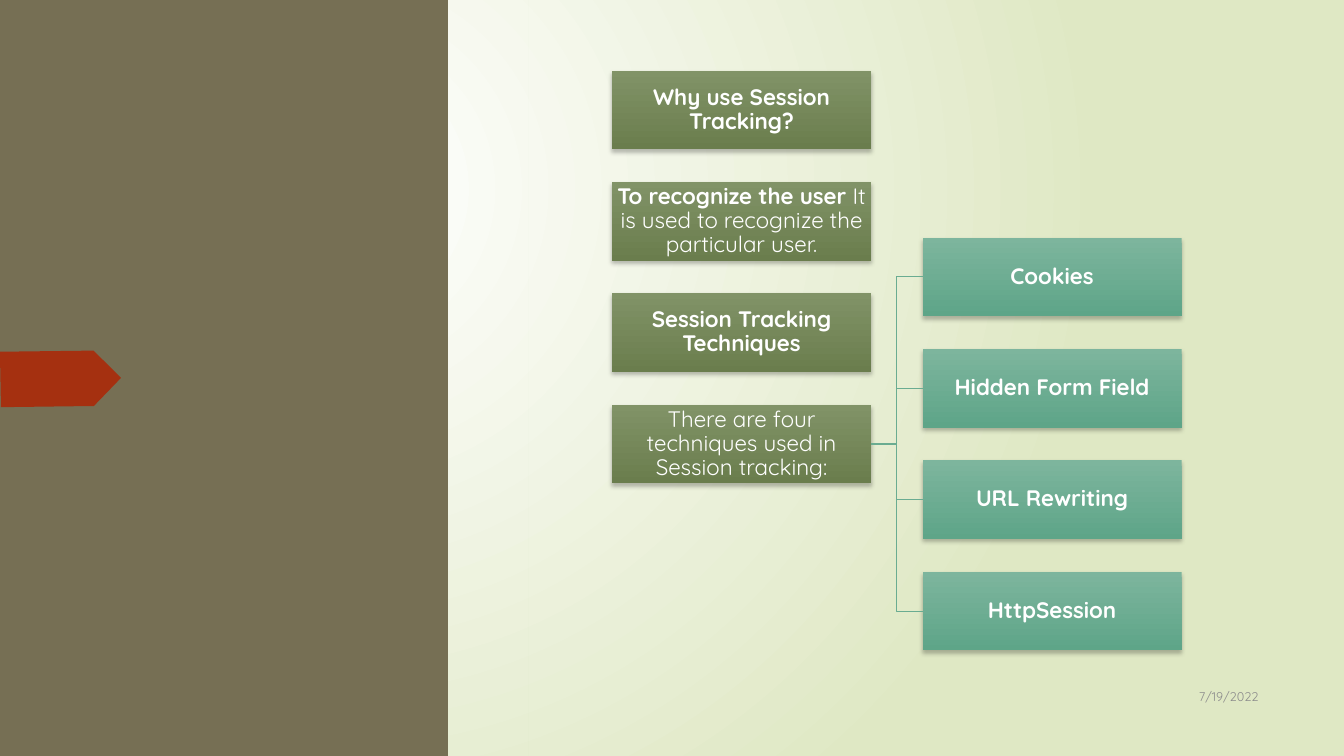
import dataclasses

import pptx
import pptx.dml.color
import pptx.enum.dml
import pptx.enum.shapes
import pptx.enum.text
import pptx.oxml
import pptx.oxml.ns
import pptx.util
from lxml import etree

Inches = pptx.util.Inches
qn = pptx.oxml.ns.qn
SHAPES = pptx.enum.shapes.MSO_SHAPE
ALIGN = pptx.enum.text.PP_ALIGN
MIDDLE = pptx.enum.text.MSO_ANCHOR.MIDDLE


@dataclasses.dataclass(frozen=True)
class Theme:
    font: str = "Quicksand"
    panel: str = "766F54"
    arrow: str = "A53010"
    wash: tuple = ("FFFFFF", "DFE8C4")
    olive: tuple = ("819367", "6A7D4D")
    teal: tuple = ("7DB59D", "5EA588")
    link: str = "6AAC91"
    label: str = "FFFFFF"
    date: str = "8C8C8C"
    label_size: int = 16
    date_size: int = 9


THEME = Theme()
WIDTH, HEIGHT = 13.33, 7.5

# Box grid: origin, distance between cells, and cell size
GRID_LEFT, GRID_TOP = 6.07, 0.7
COLUMN, ROW = 3.08, 1.105
BOX_WIDTH, BOX_HEIGHT = 2.57, 0.78

# Each label is a list of (text, bold) spans
REASONS = [
    [("Why use Session Tracking?", True)],
    [("To recognize the user", True),
     (" It is used to recognize the particular user.", False)],
    [("Session Tracking Techniques", True)],
    [("There are four techniques used in Session tracking:", False)],
]
TECHNIQUES = ["Cookies", "Hidden Form Field", "URL Rewriting", "HttpSession"]

SHADOW = (
    '<a:effectLst %s><a:outerShdw blurRad="38100" dist="25400" dir="5400000" '
    'rotWithShape="0"><a:srgbClr val="000000"><a:alpha val="25000"/>'
    '</a:srgbClr></a:outerShdw></a:effectLst>' % pptx.oxml.ns.nsdecls("a"))
CIRCLE = (
    '<a:path %s path="circle"><a:fillToRect l="50000" t="50000" r="100000" '
    'b="100000"/></a:path>' % pptx.oxml.ns.nsdecls("a"))


def rgb(code):
    return pptx.dml.color.RGBColor.from_string(code)


def apply(target, formats):
    for name, value in formats.items():
        setattr(target, name, value)


def paint_gradient(fill, colours):
    fill.gradient()
    for stop, colour in zip(fill.gradient_stops, colours):
        stop.color.rgb = rgb(colour)


def paint_solid(shape, colour):
    shape.shadow.inherit = False
    shape.fill.solid()
    shape.fill.fore_color.rgb = rgb(colour)
    shape.line.fill.background()


def write(frame, spans, colour, size, align, spacing=None):
    apply(frame, {"word_wrap": True, "vertical_anchor": MIDDLE})
    para = frame.paragraphs[0]
    apply(para, {"alignment": align, "line_spacing": spacing})
    for text, bold in spans:
        span = para.add_run()
        span.text = text
        apply(span.font, {"name": THEME.font, "size": pptx.util.Pt(size),
                          "bold": bold})
        span.font.color.rgb = rgb(colour)


def add_background(page):
    paint_gradient(page.background.fill, THEME.wash)
    linear = page.element.find(".//" + qn("a:lin"))
    linear.getparent().replace(linear, pptx.oxml.parse_xml(CIRCLE))


def add_panels(page):
    side = page.shapes.add_shape(
        SHAPES.RECTANGLE, 0, 0, Inches(WIDTH / 3), Inches(HEIGHT))
    paint_solid(side, THEME.panel)
    # Red pointer on the side panel
    outline = [(0.82, 3.48), (0.93, 3.48), (1.2, 3.75), (0.93, 4.03),
               (0.82, 4.03), (0.01, 4.04)]
    builder = page.shapes.build_freeform(0, Inches(3.49))
    builder.add_line_segments([(Inches(x), Inches(y)) for x, y in outline])
    paint_solid(builder.convert_to_shape(), THEME.arrow)
    # Content area that continues the page background
    content = page.shapes.add_shape(
        SHAPES.RECTANGLE, Inches(5.24), 0, Inches(WIDTH - 5.24), Inches(HEIGHT))
    content.shadow.inherit = False
    content.line.fill.background()
    content.element.remove(content.element.find(qn("p:style")))
    content.element.set("useBgFill", "1")


def add_box(page, column, row, spans, colours):
    box = page.shapes.add_shape(
        SHAPES.RECTANGLE, Inches(GRID_LEFT + column * COLUMN),
        Inches(GRID_TOP + row * ROW), Inches(BOX_WIDTH), Inches(BOX_HEIGHT))
    paint_gradient(box.fill, colours)
    box.fill.gradient_angle = 270
    box.line.fill.background()
    box.element.spPr.append(pptx.oxml.parse_xml(SHADOW))
    frame = box.text_frame
    apply(frame, dict.fromkeys(
        ("margin_left", "margin_top", "margin_right", "margin_bottom"),
        Inches(0.01)))
    write(frame, spans, THEME.label, THEME.label_size, ALIGN.CENTER, 0.9)
    return box


def add_link(page, parent, child):
    link = page.shapes.add_connector(
        pptx.enum.shapes.MSO_CONNECTOR.ELBOW, 0, 0, 0, 0)
    link.begin_connect(parent, 3)
    link.end_connect(child, 1)
    link.line.width = pptx.util.Pt(0.75)
    link.line.color.rgb = rgb(THEME.link)
    etree.SubElement(link.element.spPr, qn("a:effectLst"))


def add_date(page, text):
    box = page.shapes.add_textbox(
        Inches(WIDTH * 0.85), Inches(6.7), Inches(1.25), Inches(0.41))
    write(box.text_frame, [(text, False)], THEME.date, THEME.date_size,
          ALIGN.RIGHT)


def main():
    deck = pptx.Presentation()
    apply(deck, {"slide_width": Inches(WIDTH), "slide_height": Inches(HEIGHT)})
    page = deck.slides.add_slide(deck.slide_layouts[6])
    add_background(page)
    add_panels(page)

    # Reasons on the left, the last one branching to the techniques
    reasons = [add_box(page, 0, row, spans, THEME.olive)
               for row, spans in enumerate(REASONS)]
    for row, name in enumerate(TECHNIQUES):
        technique = add_box(page, 1, row + 1.5, [(name, True)], THEME.teal)
        add_link(page, reasons[-1], technique)

    add_date(page, "7/19/2022")
    deck.save("out.pptx")


if __name__ == "__main__":
    main()
